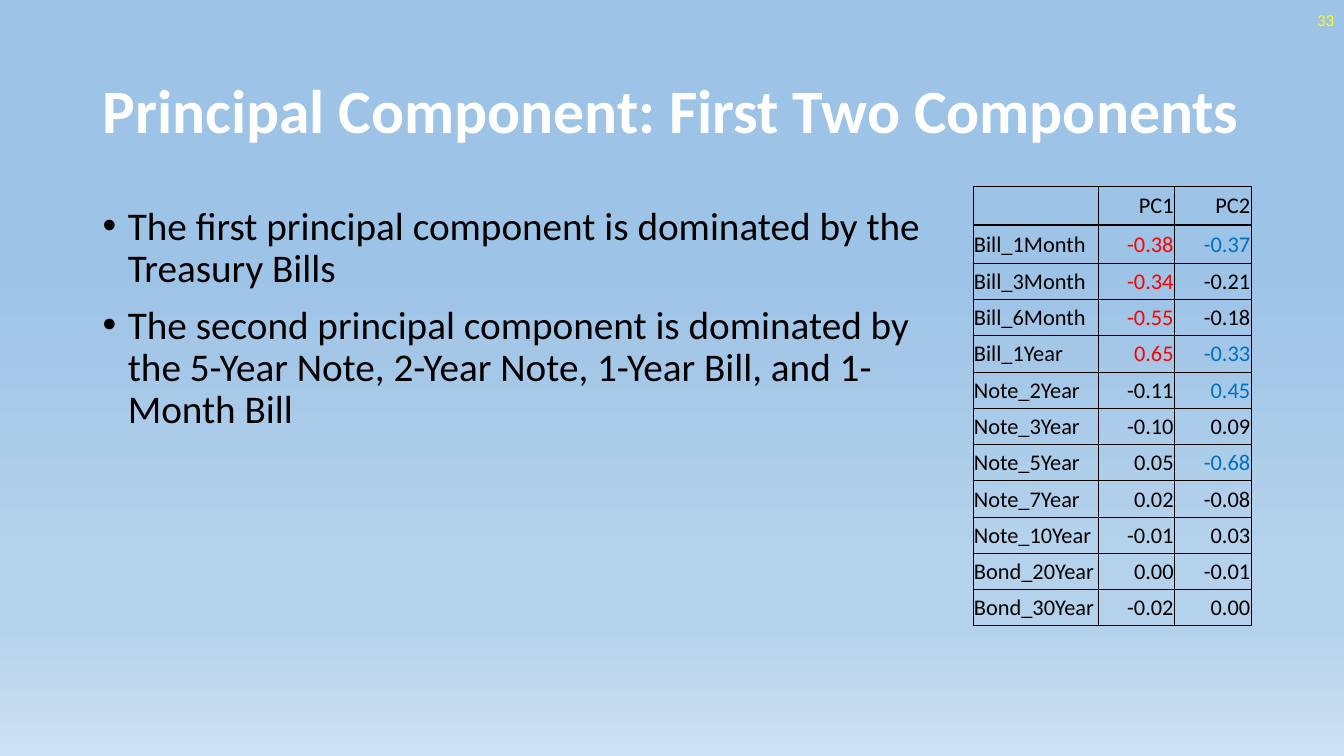
from lxml.etree import SubElement
from pptx import Presentation
from pptx.dml.color import RGBColor
from pptx.enum.text import MSO_ANCHOR, PP_ALIGN
from pptx.oxml import parse_xml
from pptx.oxml.ns import nsdecls, qn
from pptx.util import Inches, Pt

BLACK = RGBColor(0x00, 0x00, 0x00)
WHITE = RGBColor(0xFF, 0xFF, 0xFF)
YELLOW = RGBColor(0xFF, 0xFF, 0x00)
RED = RGBColor(0xFF, 0x00, 0x00)
BLUE = RGBColor(0x00, 0x70, 0xC0)
SKY = RGBColor(0x9D, 0xC3, 0xE6)
PALE_SKY = RGBColor(0xB5, 0xD2, 0xEC)
HORIZON = RGBColor(0xCE, 0xE1, 0xF2)

BACKGROUND_STOPS = [(35, SKY), (74, PALE_SKY), (83, PALE_SKY), (100, HORIZON)]
DOMINANT_LOADING = 0.3
DOMINANT_COLORS = [RED, BLUE]
FINDINGS = [
    "The first principal component is dominated by the Treasury Bills",
    "The second principal component is dominated by the 5-Year Note, "
    "2-Year Note, 1-Year Bill, and 1-Month Bill",
]
LOADINGS = [
    ("Bill_1Month", -0.38, -0.37),
    ("Bill_3Month", -0.34, -0.21),
    ("Bill_6Month", -0.55, -0.18),
    ("Bill_1Year", 0.65, -0.33),
    ("Note_2Year", -0.11, 0.45),
    ("Note_3Year", -0.10, 0.09),
    ("Note_5Year", 0.05, -0.68),
    ("Note_7Year", 0.02, -0.08),
    ("Note_10Year", -0.01, 0.03),
    ("Bond_20Year", 0.00, -0.01),
    ("Bond_30Year", -0.02, 0.00),
]


def set_background(slide):
    stops = "".join(
        f'<a:gs pos="{position * 1000}"><a:srgbClr val="{color}"/></a:gs>'
        for position, color in BACKGROUND_STOPS
    )
    slide.background.fill.gradient()
    gradient = slide.background._cSld.find(".//" + qn("a:gradFill"))
    gradient.getparent().replace(gradient, parse_xml(
        f'<a:gradFill {nsdecls("a")} rotWithShape="1"><a:gsLst>{stops}</a:gsLst>'
        '<a:lin ang="5400000" scaled="0"/></a:gradFill>'
    ))


def write_text(paragraph, text, *, size, color=BLACK, bold=False,
               align=PP_ALIGN.LEFT, line_spacing=1.0):
    paragraph.alignment = align
    paragraph.line_spacing = line_spacing
    run = paragraph.add_run()
    run.text = text
    run.font.name = "Calibri"
    run.font.size = Pt(size)
    run.font.bold = bold
    run.font.color.rgb = color


def add_text_frame(slide, left, top, width, height, anchor=MSO_ANCHOR.TOP):
    box = slide.shapes.add_textbox(
        Inches(left), Inches(top), Inches(width), Inches(height))
    frame = box.text_frame
    frame.word_wrap = True
    frame.vertical_anchor = anchor
    return frame


def add_bullet(paragraph):
    properties = paragraph._p.get_or_add_pPr()
    properties.set("marL", str(Inches(0.25)))
    properties.set("indent", str(Inches(-0.25)))
    SubElement(properties, qn("a:buFont"), typeface="Arial")
    SubElement(properties, qn("a:buChar"), char="•")


def add_findings(slide):
    frame = add_text_frame(slide, 0.92, 2, 8.46, 4.76)
    for index, finding in enumerate(FINDINGS):
        paragraph = frame.add_paragraph() if index else frame.paragraphs[0]
        add_bullet(paragraph)
        if index:
            paragraph.space_before = Pt(10)
        write_text(paragraph, finding, size=28, line_spacing=0.9)


def set_borders(cell, **widths):
    """Draw black borders with widths in points, keyed by L, R, T and B."""
    properties = cell._tc.get_or_add_tcPr()
    for side, width in widths.items():
        properties.append(parse_xml(
            f'<a:ln{side} {nsdecls("a")} w="{Pt(width)}">'
            f'<a:solidFill><a:srgbClr val="{BLACK}"/></a:solidFill></a:ln{side}>'
        ))


def format_cell(cell, row):
    set_borders(cell, L=0.5, R=0.5, T=2 if row == 1 else 0.5,
                B=2 if row == 0 else 0.5)
    cell.fill.background()
    cell.vertical_anchor = MSO_ANCHOR.MIDDLE
    cell.margin_left = cell.margin_right = cell.margin_top = Inches(0.01)
    cell.margin_bottom = 0


def add_loadings_table(slide):
    rows = [("", "PC1", "PC2"), *LOADINGS]
    table = slide.shapes.add_table(
        len(rows), 3, Inches(9.65), Inches(1.85), Inches(2.76), Inches(4.37)).table
    table.first_row = table.horz_banding = False
    for column, width in zip(table.columns, (1.24, 0.76, 0.76)):
        column.width = Inches(width)
    for row, values in enumerate(rows):
        table.rows[row].height = Inches(0.38 if row < 2 else 0.36)
        for column, value in enumerate(values):
            cell = table.cell(row, column)
            format_cell(cell, row)
            color = BLACK
            if isinstance(value, float):
                if abs(value) >= DOMINANT_LOADING:
                    color = DOMINANT_COLORS[column - 1]
                value = f"{value:.2f}"
            if value:
                write_text(cell.text_frame.paragraphs[0], value, size=16, color=color,
                           align=PP_ALIGN.RIGHT if column else PP_ALIGN.LEFT)


def main():
    presentation = Presentation()
    presentation.slide_width = Inches(13.33)
    presentation.slide_height = Inches(7.5)
    slide = presentation.slides.add_slide(presentation.slide_layouts[6])
    set_background(slide)

    title = add_text_frame(slide, 0.92, 0.4, 11.5, 1.45, MSO_ANCHOR.MIDDLE)
    write_text(title.paragraphs[0], "Principal Component: First Two Components",
               size=44, color=WHITE, bold=True, line_spacing=0.9)
    add_findings(slide)
    slide_number = add_text_frame(slide, 10.33, 0, 3, 0.4, MSO_ANCHOR.MIDDLE)
    write_text(slide_number.paragraphs[0], "33", size=12, color=YELLOW,
               align=PP_ALIGN.RIGHT)
    add_loadings_table(slide)
    presentation.save("out.pptx")


if __name__ == "__main__":
    main()
